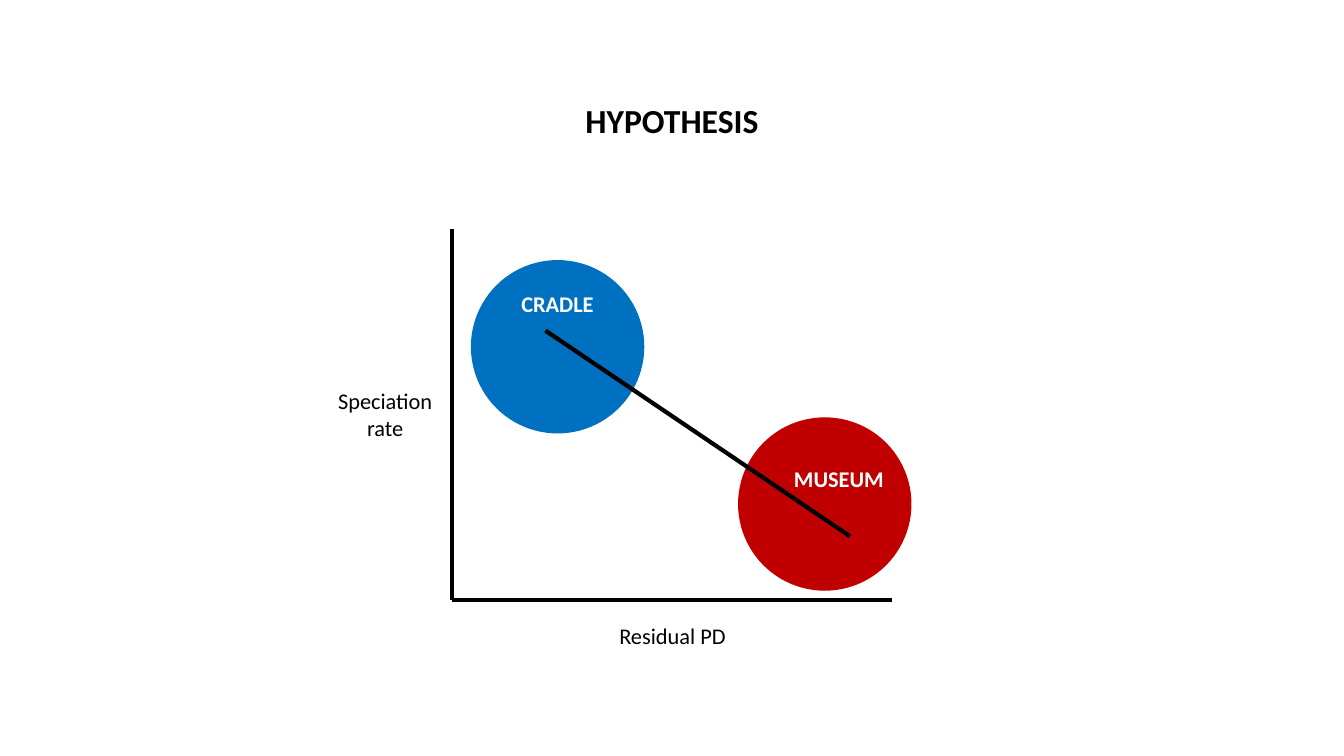
from pptx import Presentation
from pptx.dml.color import RGBColor
from pptx.enum.shapes import MSO_CONNECTOR, MSO_SHAPE
from pptx.enum.text import MSO_ANCHOR, MSO_AUTO_SIZE, PP_ALIGN
from pptx.oxml.ns import qn
from pptx.util import Inches, Pt

BLACK = RGBColor(0x00, 0x00, 0x00)
WHITE = RGBColor(0xFF, 0xFF, 0xFF)
BLUE = RGBColor(0x00, 0x70, 0xC0)
RED = RGBColor(0xC0, 0x00, 0x00)

# Lengths in inches; boxes are left, top, width, height
TITLE = ("HYPOTHESIS", (5.23, 0.94, 2.87, 0.5))
ORIGIN = (4.48, 5.95)
Y_AXIS_END = (4.48, 2.27)
X_AXIS_END = (8.85, 5.95)
TREND = ((5.41, 3.28), (8.43, 5.32))
DIAMETER = 1.72
CIRCLES = [(4.67, 2.58, BLUE), (7.32, 4.14, RED)]
LABELS = [
    ("Residual PD", (5.85, 6.12, 1.64, 0.37), BLACK, False),
    ("Speciation rate", (3.19, 3.79, 1.26, 0.64), BLACK, False),
    ("MUSEUM", (7.69, 4.57, 1.26, 0.37), WHITE, True),
    ("CRADLE", (4.9, 2.83, 1.26, 0.37), WHITE, True),
]


def inches(values):
    return [Inches(value) for value in values]


def write(shape, text, size, color, bold):
    frame = shape.text_frame
    frame.text = text
    frame_format = {
        "word_wrap": True,
        "auto_size": MSO_AUTO_SIZE.NONE,
        "vertical_anchor": MSO_ANCHOR.TOP,
    }
    for name, value in frame_format.items():
        setattr(frame, name, value)
    paragraph = frame.paragraphs[0]
    paragraph.alignment = PP_ALIGN.CENTER
    font = paragraph.runs[0].font
    for name, value in {"name": "Calibri", "size": Pt(size), "bold": bold}.items():
        setattr(font, name, value)
    font.color.rgb = color


def draw_line(shapes, start, end):
    line = shapes.add_connector(MSO_CONNECTOR.STRAIGHT, *inches(start + end))
    line.line.color.rgb = BLACK
    line.line.width = Pt(3)
    properties = line._element.spPr
    properties.append(properties.makeelement(qn("a:effectLst"), {}))


def main():
    deck = Presentation()
    deck.slide_width, deck.slide_height = inches((13.33, 7.5))
    shapes = deck.slides.add_slide(deck.slide_layouts[5]).shapes

    heading, box = TITLE
    title = shapes.title
    title.left, title.top, title.width, title.height = inches(box)
    write(title, heading, 24, BLACK, True)

    for left, top, color in CIRCLES:
        circle = shapes.add_shape(
            MSO_SHAPE.OVAL, *inches((left, top, DIAMETER, DIAMETER)))
        circle.shadow.inherit = False
        circle.fill.solid()
        circle.fill.fore_color.rgb = color
        circle.line.fill.background()

    for start, end in [(Y_AXIS_END, ORIGIN), (X_AXIS_END, ORIGIN), TREND]:
        draw_line(shapes, start, end)

    for text, box, color, bold in LABELS:
        write(shapes.add_textbox(*inches(box)), text, 16, color, bold)

    deck.save("out.pptx")


if __name__ == "__main__":
    main()
